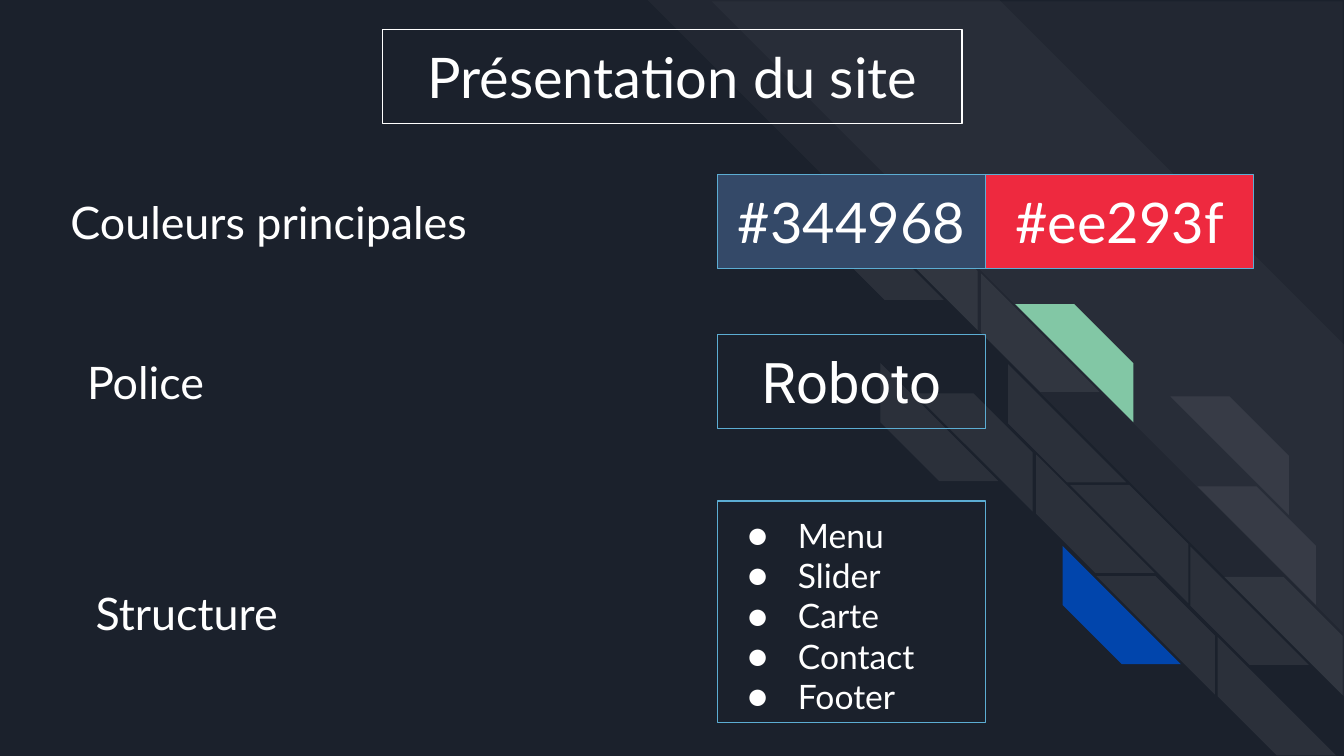
from lxml import etree
from pptx import Presentation
from pptx.dml.color import RGBColor
from pptx.enum.shapes import MSO_SHAPE
from pptx.enum.text import MSO_ANCHOR, MSO_AUTO_SIZE, PP_ALIGN
from pptx.oxml.ns import qn
from pptx.util import Pt

RECT, STRIPE = MSO_SHAPE.RECTANGLE, MSO_SHAPE.DIAGONAL_STRIPE
LEFT, CENTER = PP_ALIGN.LEFT, PP_ALIGN.CENTER
TOP, MIDDLE = MSO_ANCHOR.TOP, MSO_ANCHOR.MIDDLE
FIXED = MSO_AUTO_SIZE.NONE

COLORS = {"back": "1B212C", "white": "FFFFFF", "edge": "5CADD3", "navy": "344968",
          "red": "EE293F", "green": "82C7A5", "blue": "0145AC"}
FONT = "Lato"
TITLE = "Présentation du site"
PARTS = ["Menu", "Slider", "Carte", "Contact", "Footer"]

# text, top, width
LABELS = [("Couleurs principales", 97.2, 231.8),
          ("Police", 182.9, 100),
          ("Structure", 306.7, 144)]
LABEL_X, LABEL_H = 28, 42.5

# text, column, top, fill, font
BOX_X, BOX_W, BOX_H = 384.3, 143.7, 50.3
BOXES = [("#344968", 0, 93.6, "navy", FONT),
         ("#ee293f", 1, 93.6, "red", FONT),
         ("Roboto", 0, 179.2, None, "Roboto")]

# left, top, size, cut
BANDS = [(347, 0, 373, 0.495), (381.2, 0.7, 338, 0)]

# left, top, colour of lower brick, colour of upper brick
BRICK, STEP_X, STEP_Y = 63.4, 18.2, 16.3
BRICKS = [(442.1, 97.2, "white", "white"),
          (471.6, 194.4, "white", "white"),
          (525.6, 146.6, "white", "green"),
          (540, 195.1, "white", None),
          (608.8, 196.1, None, "white"),
          (623.3, 244.3, None, "white"),
          (555.1, 243.5, "white", "white"),
          (569.2, 292.4, "blue", "white"),
          (637.7, 292.8, "white", "white"),
          (652.3, 341.3, "white", None)]


def rgb(name):
    return RGBColor.from_string(COLORS[name])


def place(shape, x, y, w, h):
    shape.left, shape.top, shape.width, shape.height = Pt(x), Pt(y), Pt(w), Pt(h)


def outline(shape, color):
    shape.line.color.rgb = rgb(color)
    shape.line.width = Pt(0.75)


def style(shape, size, align=CENTER, anchor=MIDDLE, font=FONT):
    frame = shape.text_frame
    frame.word_wrap, frame.auto_size = True, FIXED
    frame.vertical_anchor = anchor
    frame.margin_left = frame.margin_right = Pt(7.2)
    frame.margin_top = frame.margin_bottom = Pt(7.2)
    for para in frame.paragraphs:
        para.alignment = align
        para.space_before = Pt(0)
        for run in para.runs:
            run.font.size, run.font.name = Pt(size), font
            run.font.color.rgb = rgb("white")


def bullet(para):
    props = para._p.get_or_add_pPr()
    props.set("marL", str(Pt(36)))
    props.set("indent", str(Pt(-27)))
    tint = etree.SubElement(props, qn("a:buClr"))
    etree.SubElement(tint, qn("a:srgbClr"), val=COLORS["white"])
    etree.SubElement(props, qn("a:buFont"), typeface=FONT)
    etree.SubElement(props, qn("a:buChar"), char="●")


def stripe(x, y, size, cut, turn, color, alpha):
    shape = slide.shapes.add_shape(STRIPE, Pt(x), Pt(y), Pt(size), Pt(size))
    shape.adjustments[0] = cut
    shape.rotation = turn
    shape.shadow.inherit = False
    shape.line.fill.background()
    shape.fill.solid()
    shape.fill.fore_color.rgb = rgb(color)
    if color == "white":
        tint = shape.element.spPr.find(".//" + qn("a:srgbClr"))
        etree.SubElement(tint, qn("a:alpha"), val=str(alpha * 1000))


deck = Presentation()
deck.slide_width, deck.slide_height = Pt(720), Pt(405)
slide = deck.slides.add_slide(deck.slide_layouts[1])
slide.background.fill.solid()
slide.background.fill.fore_color.rgb = rgb("back")
title, body = slide.placeholders

for x, y, size, cut in BANDS:
    stripe(x, y, size, cut, 90, "white", 3)
for x, y, low, high in BRICKS:
    if low:
        stripe(x, y, BRICK, 0.5, 270, low, 7)
    if high:
        stripe(x + STEP_X, y + STEP_Y, BRICK, 0.5, 90, high, 7)

# Bring the placeholders in front of the stripes
tree = title.element.getparent()
for holder in (title, body):
    tree.append(holder.element)

place(title, 205, 15.8, 310.3, BOX_H)
title.text_frame.text = TITLE
outline(title, "white")
style(title, 30)

for text, y, w in LABELS:
    label = slide.shapes.add_textbox(Pt(LABEL_X), Pt(y), Pt(w), Pt(LABEL_H))
    label.text_frame.text = text
    style(label, 24, anchor=TOP)

for text, col, y, fill, font in BOXES:
    box = slide.shapes.add_shape(RECT, Pt(BOX_X + col * BOX_W), Pt(y), Pt(BOX_W), Pt(BOX_H))
    box.shadow.inherit = False
    if fill:
        box.fill.solid()
        box.fill.fore_color.rgb = rgb(fill)
    else:
        box.fill.background()
    outline(box, "edge")
    box.text_frame.text = text
    style(box, 30, font=font)

place(body, BOX_X, 268.4, BOX_W, 118.8)
body.text_frame.text = "\n".join(PARTS)
for para in body.text_frame.paragraphs:
    bullet(para)
outline(body, "edge")
style(body, 18, LEFT, TOP)

deck.save("out.pptx")
